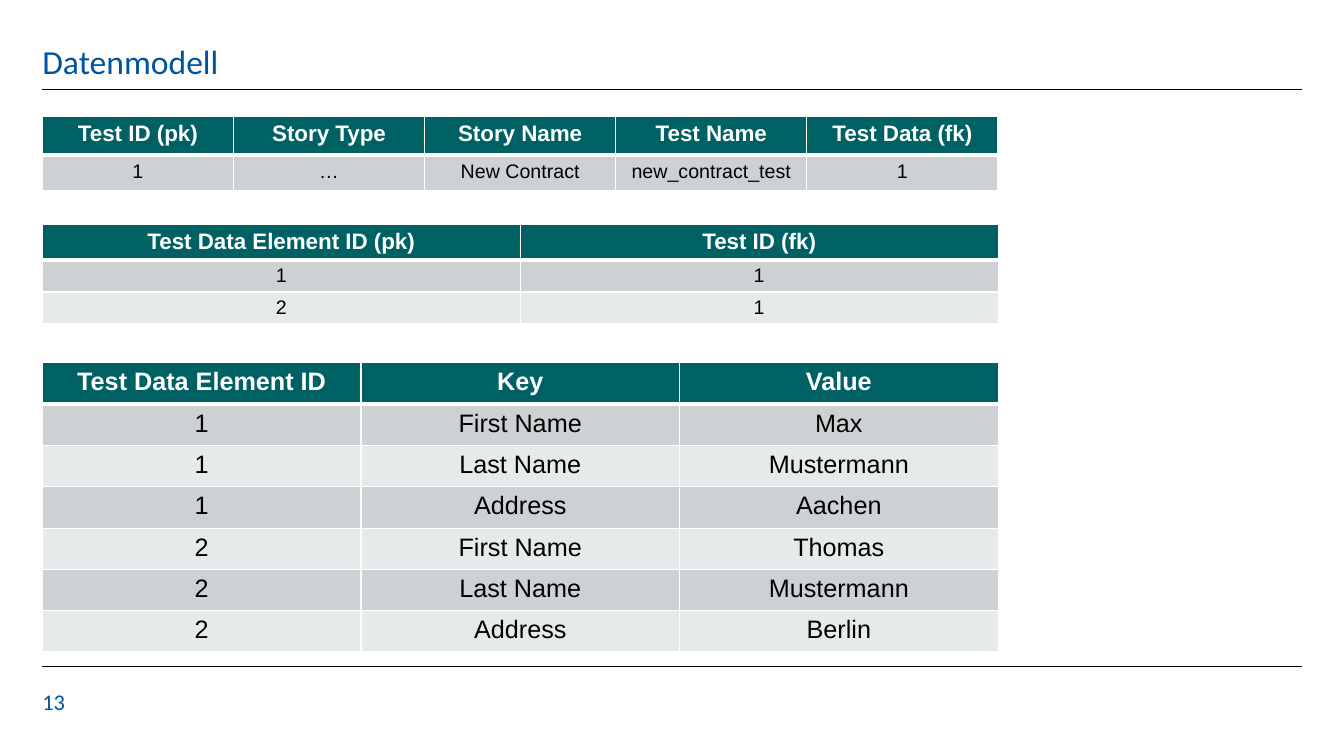
import pptx
import pptx.util
import pptx.dml.color
import pptx.enum.shapes
import pptx.enum.text
import pptx.oxml
import pptx.oxml.ns

Inches, Pt = pptx.util.Inches, pptx.util.Pt
ALIGN, ANCHOR = pptx.enum.text.PP_ALIGN, pptx.enum.text.MSO_ANCHOR

WIDTH, HEIGHT = 13.33, 7.5
LEFT, RIGHT = 0.42, 12.91
TABLE_W = 9.48
BLUE, TEAL, WHITE, BLACK = "00549F", "006165", "FFFFFF", "000000"
BANDS = ["CCD2D3", "E7EAEA"]


def rgb(color):
    return pptx.dml.color.RGBColor.from_string(color)


def write(tf, text, size, color, font="Calibri", bold=False, align=ALIGN.LEFT, spacing=None):
    p = tf.paragraphs[0]
    p.alignment = align
    p.line_spacing = spacing
    r = p.add_run()
    r.text = text
    r.font.name, r.font.size, r.font.bold = font, Pt(size), bold
    r.font.color.rgb = rgb(color)


def set_frame(tf, anchor):
    tf.margin_left = tf.margin_right = tf.margin_top = tf.margin_bottom = 0
    tf.word_wrap = True
    tf.auto_size = pptx.enum.text.MSO_AUTO_SIZE.NONE
    tf.vertical_anchor = anchor


def set_borders(cell, top, bottom):
    """White borders; they must come before the fill in the cell properties."""
    tc_pr = cell._tc.get_or_add_tcPr()
    for i, (side, width) in enumerate([("L", 1), ("R", 1), ("T", top), ("B", bottom)]):
        tc_pr.insert(i, pptx.oxml.parse_xml(
            f'<a:ln{side} {pptx.oxml.ns.nsdecls("a")} w="{Pt(width)}"><a:solidFill>'
            f'<a:srgbClr val="{WHITE}"/></a:solidFill></a:ln{side}>'))


def add_rule(s, y):
    line = s.shapes.add_connector(pptx.enum.shapes.MSO_CONNECTOR.STRAIGHT,
                                  Inches(LEFT), Inches(y), Inches(RIGHT), Inches(y))
    line.line.color.rgb = rgb(BLACK)
    line.line.width = Pt(0.5)
    line._element.spPr.append(
        pptx.oxml.parse_xml(f'<a:effectLst {pptx.oxml.ns.nsdecls("a")}/>'))


def add_title(s, text, x, y, w, h):
    sp = s.shapes.title
    sp.left, sp.top, sp.width, sp.height = map(Inches, (x, y, w, h))
    set_frame(sp.text_frame, ANCHOR.BOTTOM)
    write(sp.text_frame, text, 24, BLUE, spacing=0.9)


def add_page_number(s, text, x, y, w, h):
    sp = s.shapes.add_textbox(*map(Inches, (x, y, w, h)))
    set_frame(sp.text_frame, ANCHOR.TOP)
    write(sp.text_frame, text, 16, BLUE)


def add_data_table(s, rows, y, head_h, row_h, head_size, body_size):
    cols = len(rows[0])
    h = head_h + row_h * (len(rows) - 1)
    frame = s.shapes.add_table(len(rows), cols, *map(Inches, (LEFT, y, TABLE_W, h)))
    table = frame.table
    for col in table.columns:
        col.width = Inches(TABLE_W / cols)
    for i, row in enumerate(rows):
        head = i == 0
        table.rows[i].height = Inches(head_h if head else row_h)
        for j, text in enumerate(row):
            cell = table.cell(i, j)
            cell.fill.solid()
            cell.fill.fore_color.rgb = rgb(TEAL if head else BANDS[(i - 1) % 2])
            set_borders(cell, top=3 if i == 1 else 1, bottom=3 if head else 1)
            write(cell.text_frame, text, head_size if head else body_size,
                  WHITE if head else BLACK, font="Arial", bold=head, align=ALIGN.CENTER)


def main():
    prs = pptx.Presentation()
    prs.slide_width, prs.slide_height = Inches(WIDTH), Inches(HEIGHT)
    s = prs.slides.add_slide(prs.slide_layouts[5])

    add_rule(s, 6.61)
    add_rule(s, 0.89)
    add_title(s, "Datenmodell", LEFT, 0.22, 12.5, 0.59)
    add_page_number(s, "13", LEFT, 6.83, 0.6, 0.45)

    tests = [
        ["Test ID (pk)", "Story Type", "Story Name", "Test Name", "Test Data (fk)"],
        ["1", "…", "New Contract", "new_contract_test", "1"],
    ]
    elements = [
        ["Test Data Element ID (pk)", "Test ID (fk)"],
        ["1", "1"],
        ["2", "1"],
    ]
    values = [
        ["Test Data Element ID", "Key", "Value"],
        ["1", "First Name", "Max"],
        ["1", "Last Name", "Mustermann"],
        ["1", "Address", "Aachen"],
        ["2", "First Name", "Thomas"],
        ["2", "Last Name", "Mustermann"],
        ["2", "Address", "Berlin"],
    ]
    add_data_table(s, tests, 1.15, 0.39, 0.35, head_size=16, body_size=14)
    add_data_table(s, elements, 2.23, 0.28, 0.25, head_size=16, body_size=14)
    add_data_table(s, values, 3.6, 0.41, 0.41, head_size=18, body_size=18)

    prs.save("out.pptx")


if __name__ == "__main__":
    main()
